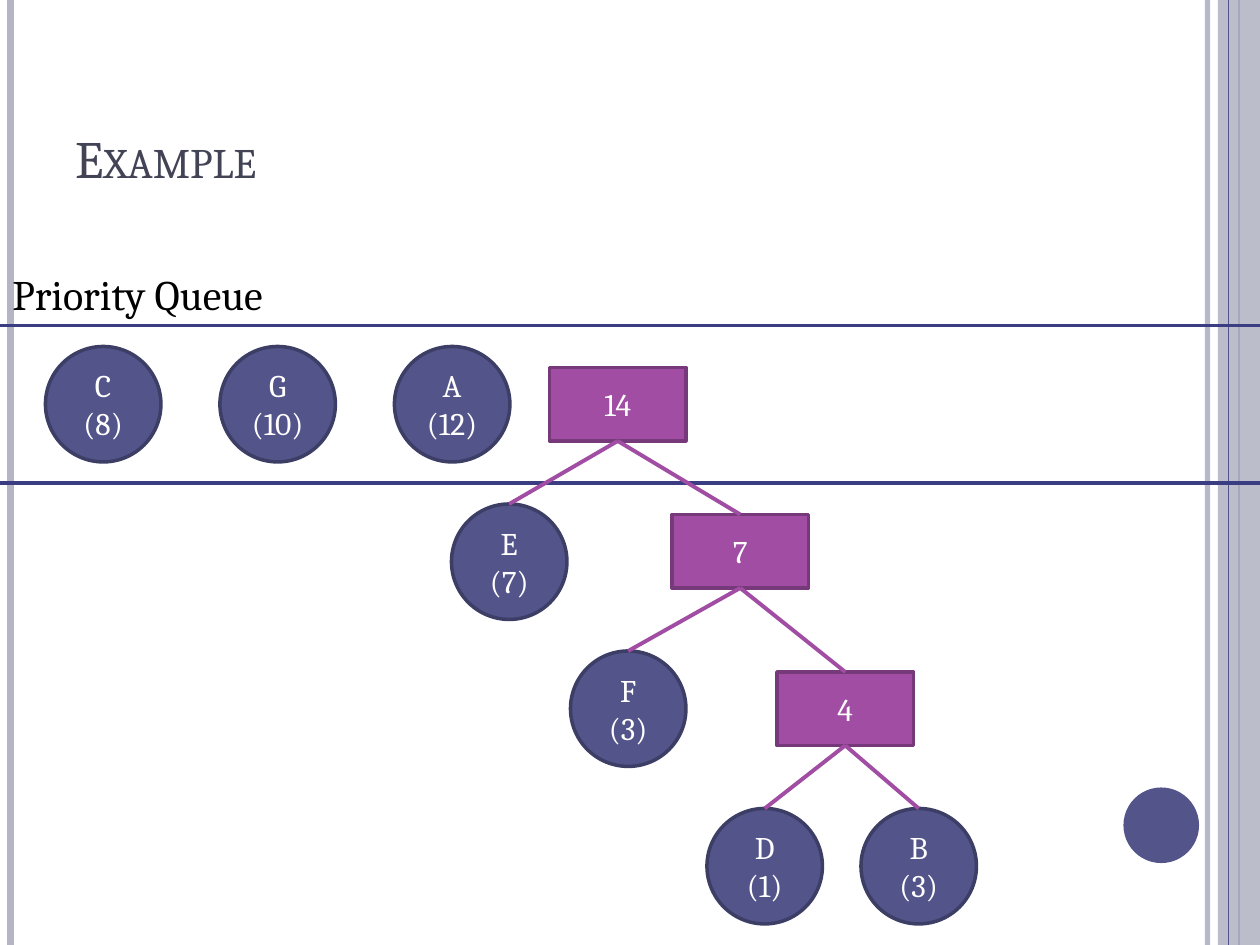
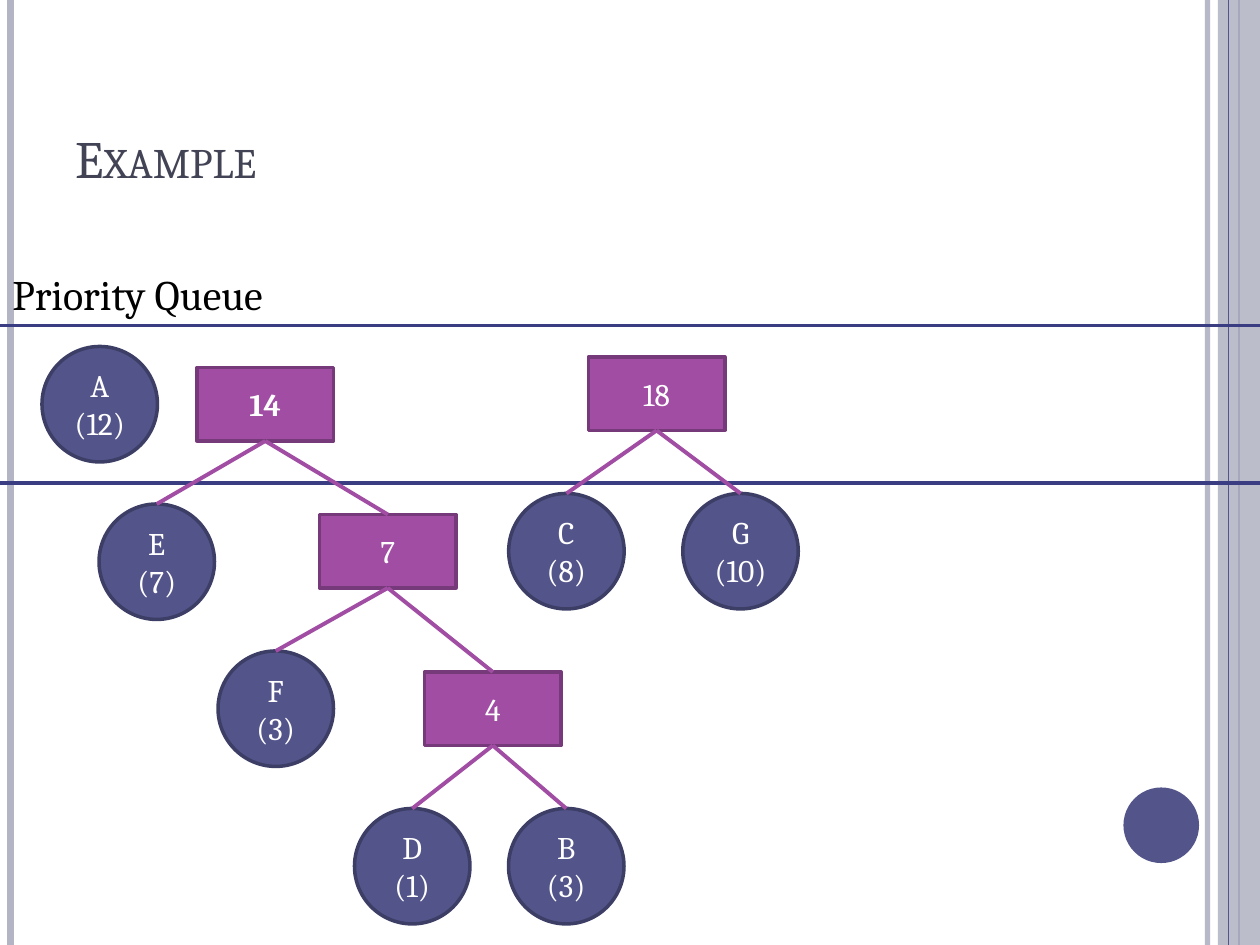
from lxml.etree import SubElement
from pptx import Presentation
from pptx.dml.color import RGBColor
from pptx.enum.shapes import MSO_CONNECTOR as CONN, MSO_SHAPE as SHAPE
from pptx.enum.text import MSO_ANCHOR as ANCHOR, PP_ALIGN as ALIGN
from pptx.oxml.ns import qn
from pptx.util import Pt

W, H = 720, 540
NODE, BOX_W, BOX_H = 66, 78, 42          # circle diameter, box size
QUEUE_Y = 198                            # top of the circles in the queue


def rgb(value):
    return RGBColor.from_string(value)


def set_alpha(fill_owner, percent):
    for clr in fill_owner.iter(qn("a:srgbClr")):
        SubElement(clr, qn("a:alpha")).set("val", str(percent * 1000))


class Deck:
    FONT = "Cambria"
    INDIGO, INDIGO_EDGE, RULE = "53548A", "3D3E66", "3B3D82"
    PURPLE, PURPLE_EDGE = "A04DA3", "763979"
    BAND, TITLE, BLACK, WHITE = "B3B4C4", "424456", "000000", "FFFFFF"

    def __init__(self):
        self.prs = Presentation()
        self.prs.slide_width, self.prs.slide_height = Pt(W), Pt(H)
        self.s = None

    # Basic elements
    def shape(self, kind, x, y, w, h, fill, edge=None, lines=(), bold=False, into=None):
        sp = (into or self.s).shapes.add_shape(kind, Pt(x), Pt(y), Pt(w), Pt(h))
        sp.shadow.inherit = False
        sp.fill.solid()
        sp.fill.fore_color.rgb = rgb(fill)
        if edge:
            sp.line.color.rgb = rgb(edge)
            sp.line.width = Pt(2)
        else:
            sp.line.fill.background()
        if lines:
            sp.text_frame.vertical_anchor = ANCHOR.MIDDLE
            self.set_lines(sp.text_frame, lines, 18, self.WHITE, ALIGN.CENTER, bold)
        return sp

    def line(self, x1, y1, x2, y2, color, width, into=None):
        cx = (into or self.s).shapes.add_connector(CONN.STRAIGHT, Pt(x1), Pt(y1), Pt(x2), Pt(y2))
        cx.line.color.rgb = rgb(color)
        cx.line.width = Pt(width)
        SubElement(cx._element.spPr, qn("a:effectLst"))
        return cx

    def text(self, x, y, w, h, content, size, color, anchor=ANCHOR.TOP, wrap=True):
        tf = self.s.shapes.add_textbox(Pt(x), Pt(y), Pt(w), Pt(h)).text_frame
        tf.word_wrap = wrap
        tf.vertical_anchor = anchor
        self.set_lines(tf, [content], size, color, ALIGN.LEFT)
        return tf

    def set_lines(self, tf, lines, size, color, align, bold=False):
        for i, content in enumerate(lines):
            p = tf.paragraphs[0] if i == 0 else tf.add_paragraph()
            p.add_run().text = content
            p.alignment = align
            p.font.name, p.font.size, p.font.bold = self.FONT, Pt(size), bold
            p.font.color.rgb = rgb(color)

    # Shared frame: side bands, dot, title, queue rules
    def slide(self, title):
        self.s = self.prs.slides.add_slide(self.prs.slide_layouts[6])
        edge = self.line(690, 0, 690, H, self.BAND, 3)
        set_alpha(edge._element.spPr, 93)
        self.line(6, 0, 6, H, self.BAND, 4.5)
        self.line(708, 0, 708, H, self.INDIGO, 1.5)
        band = self.shape(SHAPE.RECTANGLE, 696, 0, 24, H, self.BAND)
        set_alpha(band._element.spPr, 87)
        self.line(702, 0, 702, H, self.INDIGO, 0.75)
        self.shape(SHAPE.OVAL, 642, 450, 43.2, 43.2, self.INDIGO)

        tf = self.text(36, 21.6, 588, 90, title, 30, self.TITLE, ANCHOR.BOTTOM)
        tf.paragraphs[0].runs[0]._r.get_or_add_rPr().set("cap", "small")
        for y in (186, 276):
            self.line(0, y, W, y, self.RULE, 2.25)
        self.text(0, 150, 181.4, 36, "Priority Queue", 24, self.BLACK, wrap=False)

    # Huffman nodes, placed by centre x and top y
    def leaf(self, name, count, cx, y, into=None):
        return self.shape(SHAPE.OVAL, cx - NODE / 2, y, NODE, NODE, self.INDIGO,
                          self.INDIGO_EDGE, [name, f"({count})"], into=into)

    def tree(self, node, cx, y, bold=False, into=None):
        """Draw a node (label, children); each child is (dx, dy, node)."""
        into = into or self.s.shapes.add_group_shape()
        label, content = node
        if not isinstance(content, list):
            return self.leaf(label, content, cx, y, into)
        box = self.shape(SHAPE.RECTANGLE, cx - BOX_W / 2, y, BOX_W, BOX_H, self.PURPLE,
                         self.PURPLE_EDGE, [label], bold, into)
        for dx, dy, child in content:
            sp = self.tree(child, cx + dx, y + dy, into=into)
            link = self.line(cx, y + BOX_H, cx + dx, y + dy, self.PURPLE, 2.25, into)
            link.begin_connect(box, 2)
            link.end_connect(sp, 0)
        return box


# Trees
FOUR = ("4", [(-46, 78, ("D", 1)), (42, 78, ("B", 3))])
SEVEN = ("7", [(-64, 78, ("F", 3)), (60, 90, FOUR)])
FOURTEEN = ("14", [(-62, 78, ("E", 7)), (70, 84, SEVEN)])
EIGHTEEN = ("18", [(-51.5, 78, ("C", 8)), (48, 78, ("G", 10))])

deck = Deck()

# Slide 1: three leaves and one tree in the queue
deck.slide("Example")
for i, (name, count) in enumerate([("C", 8), ("G", 10), ("A", 12)]):
    deck.leaf(name, count, 59 + 99.7 * i, QUEUE_Y)
deck.tree(FOURTEEN, 353, 210)

# Slide 2: C and G merged
deck.slide("Example")
deck.leaf("A", 12, 57, QUEUE_Y)
deck.tree(FOURTEEN, 151.6, 210, bold=True)
deck.tree(EIGHTEEN, 375.2, 204)

deck.prs.save("out.pptx")
